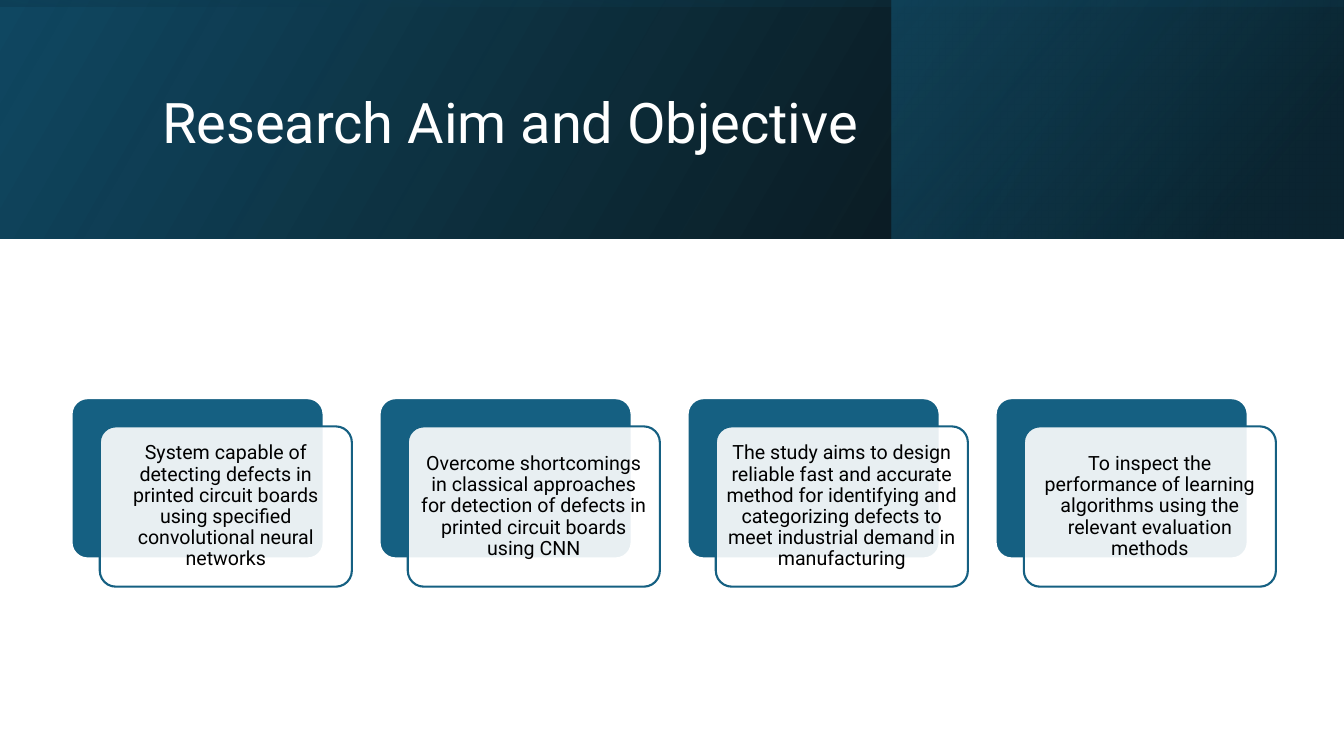
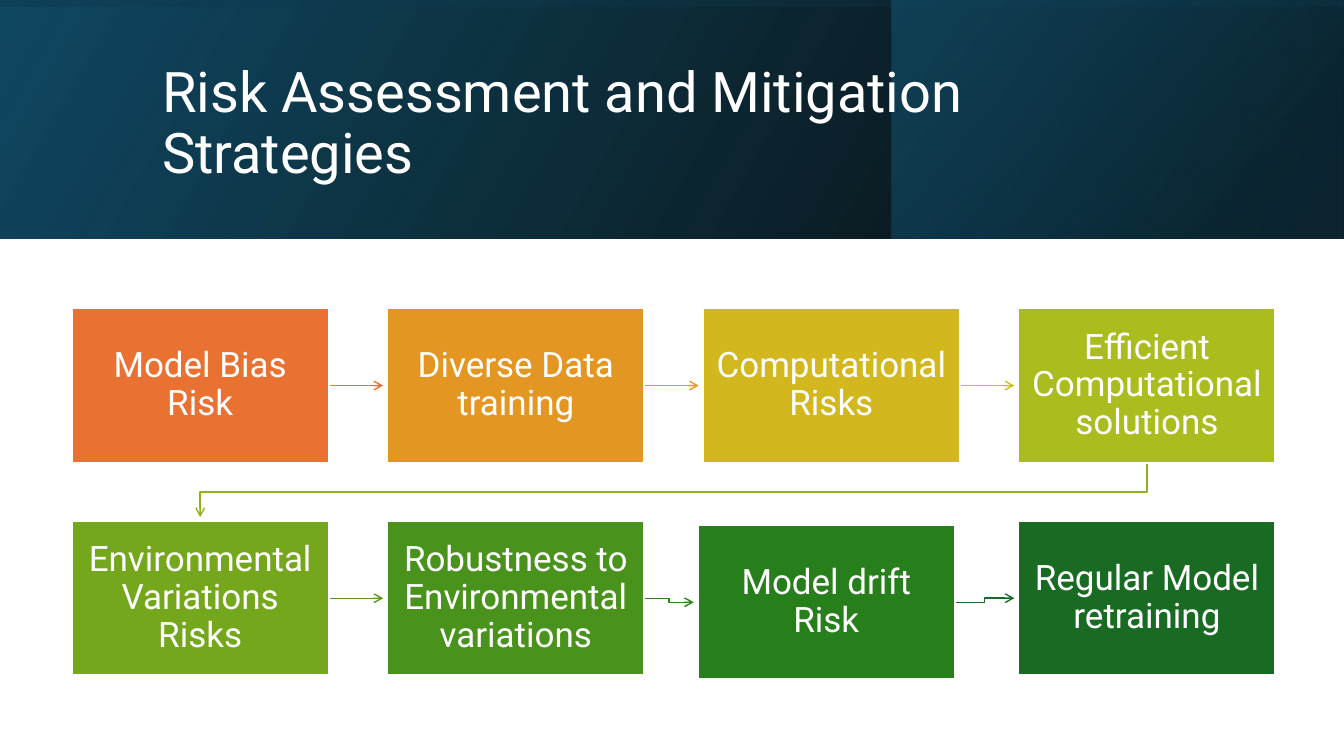
from lxml import etree
from pptx import Presentation
from pptx.dml.color import RGBColor
from pptx.enum.shapes import MSO_CONNECTOR, MSO_SHAPE
from pptx.enum.text import MSO_ANCHOR, PP_ALIGN
from pptx.oxml import parse_xml
from pptx.oxml.ns import nsdecls, qn
from pptx.util import Inches, Pt

RECT = MSO_SHAPE.RECTANGLE
ROUND = MSO_SHAPE.ROUNDED_RECTANGLE
STRAIGHT = MSO_CONNECTOR.STRAIGHT
ELBOW = MSO_CONNECTOR.ELBOW
MIDDLE = MSO_ANCHOR.MIDDLE
LEFT = PP_ALIGN.LEFT
CENTER = PP_ALIGN.CENTER

FONT = "Roboto"
WHITE = "FFFFFF"
BLACK = "000000"
BLUE = "156082"
NAVY = "104862"
WIDE = 13.33
BAND = 2.37
EDGE = 0.71

# Left, top, width, height, rotation, angle, stops (place, colour, alpha)
BANDS = [
    (0, 0, WIDE, BAND, 0, 330, [(0, BLACK, 96), (100, NAVY, 100)]),
    (8.84, 0, 4.48, BAND, 0, 320, [(19, "0B3041", 68), (100, BLUE, 48)]),
    ((WIDE - BAND) / 2, (BAND - WIDE) / 2, BAND, WIDE, 270, 350,
     [(23, NAVY, 16), (99, BLACK, 45)]),
]

AIMS = [
    "System capable of detecting defects in printed circuit boards using "
    "specified convolutional neural networks",
    "Overcome shortcomings in classical approaches for detection of defects "
    "in printed circuit boards using CNN",
    "The study aims to design reliable fast and accurate method for "
    "identifying and categorizing defects to meet industrial demand in "
    "manufacturing",
    "To inspect the performance of learning algorithms using the relevant "
    "evaluation methods",
]

# Text, box colour, colour of the arrow that leaves the box
RISKS = [
    ("Model Bias Risk", "E97132", "E97132"),
    ("Diverse Data training", "E49622", "E39D1F"),
    ("Computational Risks", "D2B81E", "CBC11E"),
    ("Efficient Computational solutions", "ABBC1E", "8EB21E"),
    ("Environmental Variations Risks", "75A71D", "56991D"),
    ("Robustness to Environmental variations", "49931D", "2C821B"),
    ("Model drift Risk", "277F1B", "196B24"),
    ("Regular Model retraining", "196B24", None),
]
COLS = 4
BOX_W, BOX_H = 2.55, 1.53
GAP = 0.04
SHIFT = {6: (-0.05, 0.04)}


def rgb(code):
    return RGBColor.from_string(code)


def write(shape, text, size, color, align, pad_x, pad_y):
    frame = shape.text_frame
    frame.word_wrap = True
    frame.vertical_anchor = MIDDLE
    frame.margin_left = frame.margin_right = Inches(pad_x)
    frame.margin_top = frame.margin_bottom = Inches(pad_y)
    para = frame.paragraphs[0]
    para.alignment = align
    para.line_spacing = 0.9
    run = para.add_run()
    run.text = text
    run.font.name = FONT
    run.font.size = Pt(size)
    run.font.color.rgb = rgb(color)


def box(slide, kind, x, y, w, h, fill, line):
    shape = slide.shapes.add_shape(
        kind, Inches(x), Inches(y), Inches(w), Inches(h))
    shape.shadow.inherit = False
    shape.fill.solid()
    shape.fill.fore_color.rgb = rgb(fill)
    shape.line.color.rgb = rgb(line)
    shape.line.width = Pt(1.5)
    return shape


def fade(shape, alpha):
    """Make a solid fill partly see-through; alpha is in percent."""
    color = shape._element.spPr.find(qn("a:solidFill"))[0]
    etree.SubElement(color, qn("a:alpha")).set("val", str(alpha * 1000))


def band(slide, x, y, w, h, turn, angle, stops):
    """Draw a mirrored rectangle with a see-through gradient."""
    shape = slide.shapes.add_shape(
        RECT, Inches(x), Inches(y), Inches(w), Inches(h))
    shape.rotation = turn
    shape.shadow.inherit = False
    shape.line.fill.background()
    props = shape._element.spPr
    props.find(qn("a:xfrm")).set("flipH", "1")
    marks = "".join(
        f'<a:gs pos="{place * 1000}"><a:srgbClr val="{color}">'
        f'<a:alpha val="{alpha * 1000}"/></a:srgbClr></a:gs>'
        for place, color, alpha in stops)
    grad = parse_xml(
        f'<a:gradFill {nsdecls("a")} rotWithShape="1"><a:gsLst>{marks}'
        f'</a:gsLst><a:lin ang="{angle * 60000}" scaled="0"/></a:gradFill>')
    props.find(qn("a:prstGeom")).addnext(grad)


def base(deck, title):
    """Add a slide with the header bands and the title."""
    slide = deck.slides.add_slide(deck.slide_layouts[6])
    for item in BANDS:
        band(slide, *item)
    head = slide.shapes.add_textbox(
        Inches(1.51), Inches(0.38), Inches(10.63), Inches(1.72))
    write(head, title, 40, WHITE, LEFT, 0.1, 0.05)
    return slide


def arrow(slide, points, color):
    """Join two points by a connector, or more by an open path."""
    spots = [(Inches(x), Inches(y)) for x, y in points]
    if len(spots) == 2:
        start, end = spots
        kind = STRAIGHT if start[1] == end[1] else ELBOW
        line = slide.shapes.add_connector(kind, *start, *end)
        line.line.color.rgb = rgb(color)
        props = line._element.spPr
        etree.SubElement(props, qn("a:effectLst"))
    else:
        path = slide.shapes.build_freeform(*spots[0])
        path.add_line_segments(spots[1:], close=False)
        line = path.convert_to_shape()
        line.shadow.inherit = False
        line.fill.background()
        line.line.color.rgb = rgb(color)
        props = line._element.spPr
    line.line.width = Pt(1)
    etree.SubElement(props.find(qn("a:ln")), qn("a:tailEnd")).set(
        "type", "arrow")


def card(slide, x, y, text):
    w, h, step = 2.5, 1.59, 0.28
    back = box(slide, ROUND, x, y, w, h, BLUE, WHITE)
    front = box(slide, ROUND, x + step, y + step, w, h, WHITE, BLUE)
    for shape in (back, front):
        shape.adjustments[0] = 0.1
    fade(front, 90)
    write(front, text, 14, BLACK, CENTER, 0.06, 0.06)


def place(index):
    """Left and top of a box in the risk grid."""
    row, col = divmod(index, COLS)
    dx, dy = SHIFT.get(index, (0, 0))
    return EDGE + col * 3.13 + dx, 3.06 + row * 2.11 + dy


def link(slide, index, color):
    """Draw the arrow from one risk box to the next."""
    x, y = place(index)
    to_x, to_y = place(index + 1)
    if (index + 1) % COLS:
        points = [(x + BOX_W, y + BOX_H / 2), (to_x - GAP, to_y + BOX_H / 2)]
    else:
        mid, to_mid = x + BOX_W / 2, to_x + BOX_W / 2
        low = y + BOX_H
        turn = (low + to_y) / 2
        points = [(mid, low), (mid, turn), (to_mid, turn),
                  (to_mid, to_y - GAP)]
    arrow(slide, points, color)


def main():
    deck = Presentation()
    deck.slide_width = Inches(WIDE)
    deck.slide_height = Inches(7.5)

    slide = base(deck, "Research Aim and Objective")
    for index, text in enumerate(AIMS):
        card(slide, EDGE + index * 3.055, 3.95, text)

    slide = base(deck, "Risk Assessment and Mitigation Strategies")
    for index, (text, fill, color) in enumerate(RISKS):
        if color:
            link(slide, index, color)
        shape = box(slide, RECT, *place(index), BOX_W, BOX_H, fill, WHITE)
        write(shape, text, 25, WHITE, CENTER, 0.12, 0.13)

    deck.save("out.pptx")


if __name__ == "__main__":
    main()
